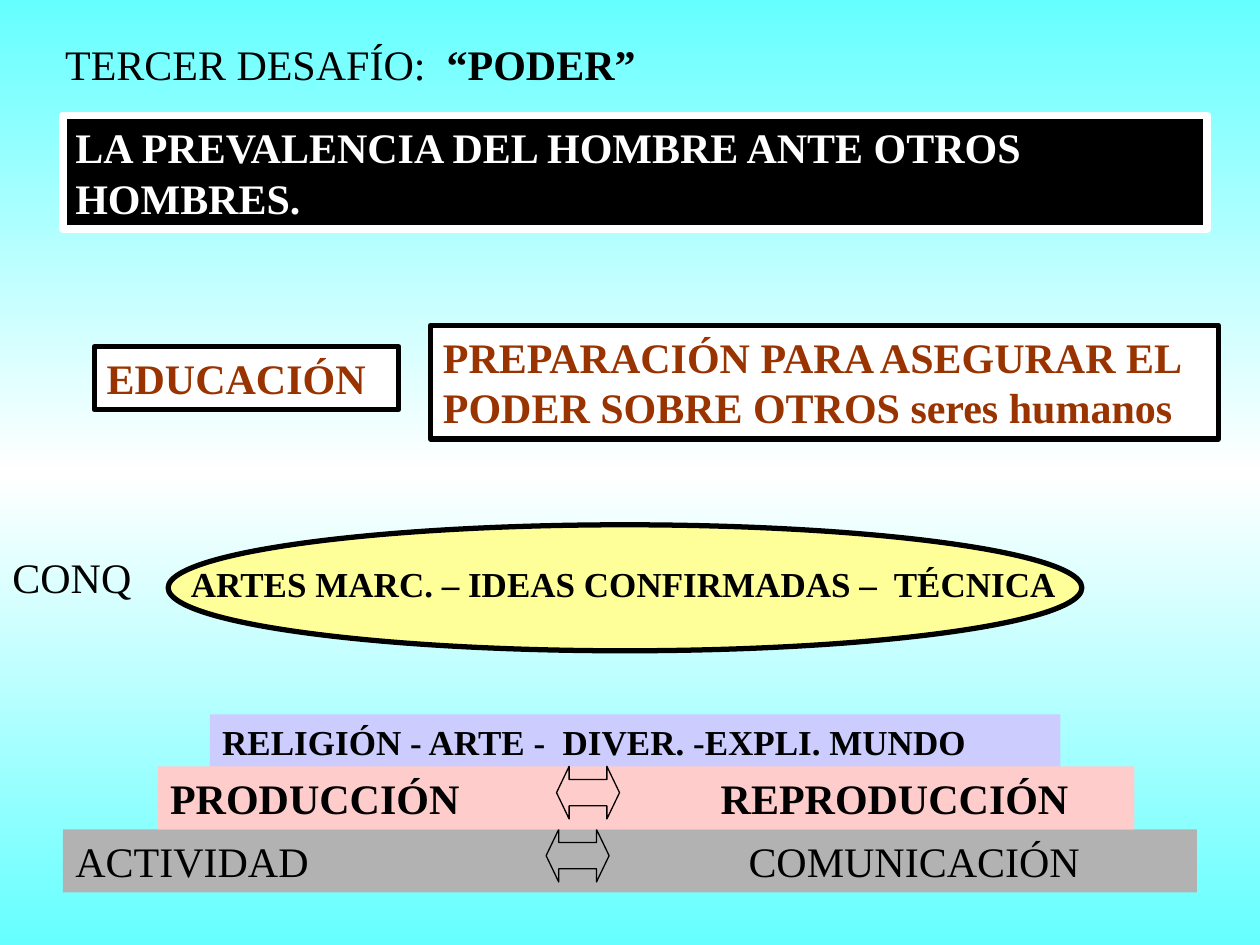
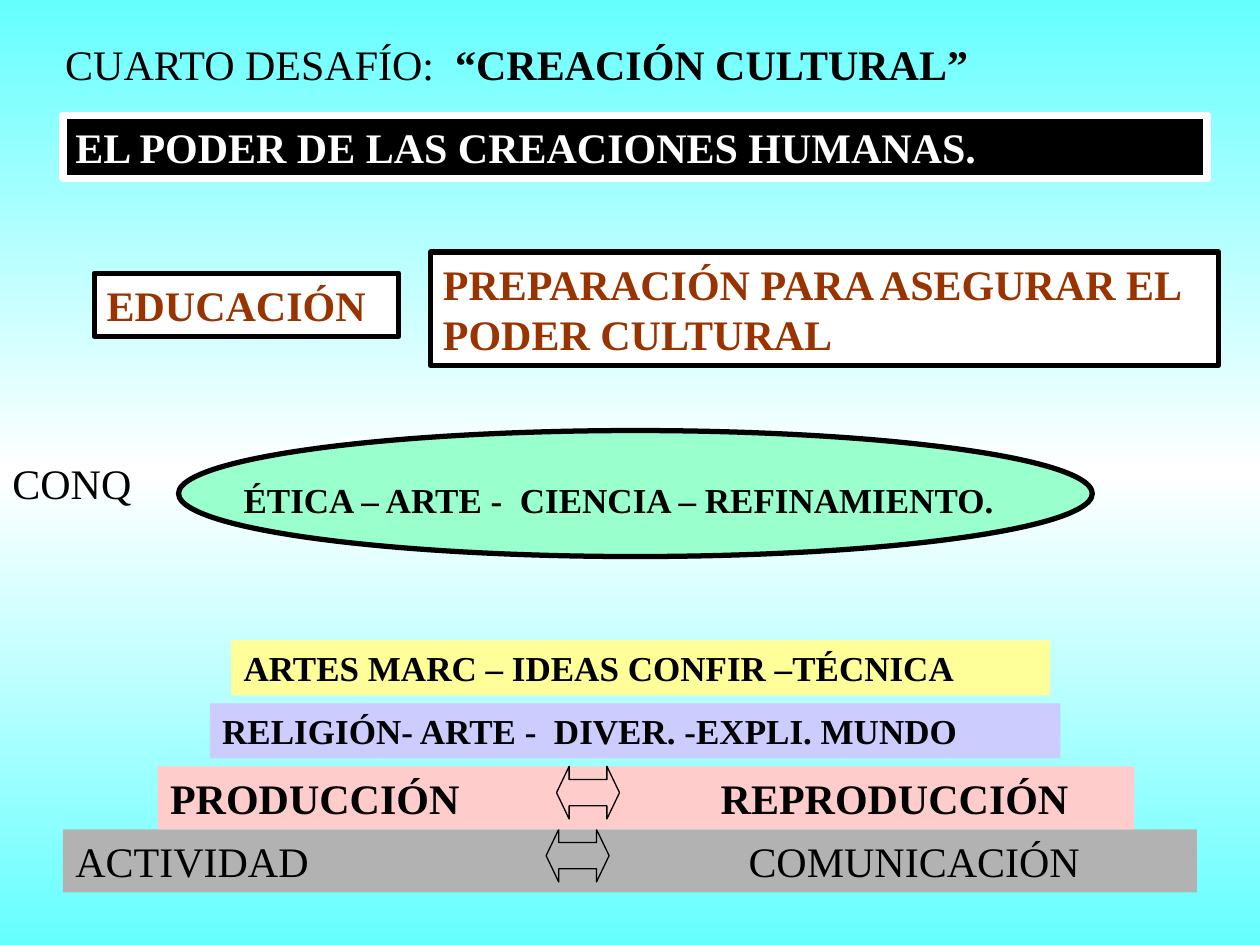
from copy import deepcopy

from lxml import etree
from pptx import Presentation
from pptx.dml.color import RGBColor
from pptx.enum import shapes, text
from pptx.oxml.ns import qn
from pptx.util import Cm, Pt

BLACK = RGBColor(0x00, 0x00, 0x00)
WHITE = RGBColor(0xFF, 0xFF, 0xFF)
AQUA = RGBColor(0x66, 0xFF, 0xFF)
RUST = RGBColor(0x99, 0x33, 0x00)
YELLOW = RGBColor(0xFF, 0xFF, 0x99)
MINT = RGBColor(0x99, 0xFF, 0xCC)
LILAC = RGBColor(0xCC, 0xCC, 0xFF)
PINK = RGBColor(0xFF, 0xCC, 0xCC)
GREY = RGBColor(0xB2, 0xB2, 0xB2)

FONT = "Times New Roman"
BIG, SMALL = 24, 20
ROW, LOW, TALL = 1.27, 1.11, 2.29  # heights of text boxes, in cm

# Places are in cm; a "step" is (words, left, top, width, fill).
SLIDES = [
    {
        "title": ("TERCER DESAFÍO:  ", "“PODER”"),
        "claim": ("LA PREVALENCIA DEL HOMBRE ANTE OTROS HOMBRES.", TALL),
        "goal": ("PREPARACIÓN PARA ASEGURAR EL PODER SOBRE OTROS seres humanos", 6.56),
        "oval": (3.39, 10.58, YELLOW),
        "label": ("ARTES MARC. – IDEAS CONFIRMADAS –  TÉCNICA", 3.6, 18.63),
        "steps": [("RELIGIÓN - ARTE -  DIVER. -EXPLI. MUNDO", 4.23, 14.4, 17.15, LILAC)],
    },
    {
        "title": ("CUARTO DESAFÍO:  ", "“CREACIÓN CULTURAL”"),
        "claim": ("EL PODER DE LAS CREACIONES HUMANAS.", ROW),
        "goal": ("PREPARACIÓN PARA ASEGURAR EL PODER CULTURAL", 5.08),
        "oval": (3.6, 8.68, MINT),
        "label": ("ÉTICA – ARTE -  CIENCIA – REFINAMIENTO.", 4.66, 16.93),
        "steps": [
            ("ARTES MARC – IDEAS CONFIR –TÉCNICA", 4.66, 12.91, 16.51, YELLOW),
            ("RELIGIÓN- ARTE -  DIVER. -EXPLI. MUNDO", 4.23, 14.18, 17.15, LILAC),
        ],
    },
]

# left word, right word, left, top, width, tab, arrow left, fill, bold
PAIRS = [
    ("ACTIVIDAD", "COMUNICACIÓN", 0.5 * 2.54, 16.72, 22.86, 13.57, 11.01, GREY, False),
    ("PRODUCCIÓN", "REPRODUCCIÓN", 3.18, 15.45, 19.69, 11.1, 11.22, PINK, True),
]


def paint(shape, fill, line=None, width=0):
    shape.shadow.inherit = False
    shape.fill.solid()
    shape.fill.fore_color.rgb = fill
    if line is None:
        shape.line.fill.background()
    else:
        shape.line.color.rgb = line
        shape.line.width = Pt(width)


def write(shape, parts, size=BIG, color=BLACK):
    """Fill the shape with (words, bold) parts, left and top aligned."""
    frame = shape.text_frame
    frame.word_wrap = True
    frame.auto_size = text.MSO_AUTO_SIZE.SHAPE_TO_FIT_TEXT
    frame.vertical_anchor = text.MSO_ANCHOR.TOP
    para = frame.paragraphs[0]
    para.alignment = text.PP_ALIGN.LEFT
    for words, bold in parts:
        run = para.add_run()
        run.text = words
        font = run.font
        font.name, font.size, font.bold = FONT, Pt(size), bold
        font.color.rgb = color


def add_shape(slide, kind, place, *look):
    shape = slide.shapes.add_shape(kind, *map(Cm, place))
    paint(shape, *look)
    return shape


def add_box(slide, words, place, look, size=BIG, color=BLACK, bold=True):
    box = add_shape(slide, shapes.MSO_SHAPE.RECTANGLE, place, *look)
    write(box, [(words, bold)], size, color)
    return box


def add_note(slide, words, place, size=BIG, bold=False):
    write(slide.shapes.add_textbox(*map(Cm, place)), [(words, bold)], size)


def add_pair(slide, first, second, left, top, width, tab, mid, fill, bold):
    """Draw a bar with two words, the second at a tab stop, and an arrow."""
    bar = add_box(slide, f"{first}\t{second}", (left, top, width, ROW), (fill,), bold=bold)
    props = bar.text_frame.paragraphs[0]._p.get_or_add_pPr()
    stops = etree.SubElement(props, qn("a:tabLst"))
    etree.SubElement(stops, qn("a:tab"), pos=str(int(Cm(tab))), algn="l")
    arrow = add_shape(slide, shapes.MSO_SHAPE.LEFT_RIGHT_ARROW,
                      (mid, top, ROW, 1.06), fill, BLACK, 0.75)
    arrow.adjustments[1] = 0.24


def set_back(master):
    """Give every slide the aqua, white, aqua gradient."""
    fill = master.background.fill
    fill.gradient()
    fill.gradient_angle = 90
    first, mid = fill.gradient_stops
    first.color.rgb, first.position = AQUA, 0
    mid.color.rgb, mid.position = WHITE, 0.5
    stops = master.element.find(".//" + qn("p:bg")).find(".//" + qn("a:gsLst"))
    last = deepcopy(stops[0])
    last.set("pos", "100000")
    stops.append(last)


def build(slide, data):
    title = slide.shapes.title
    title.left, title.top, title.width, title.height = map(Cm, (1.06, 0.64, 19.47, ROW))
    lead, name = data["title"]
    write(title, [(lead, False), (name, True)])

    claim, high = data["claim"]
    add_box(slide, claim, (1.27, 2.33, 23.07, high), (BLACK, WHITE, 4.5), color=WHITE)

    goal, top = data["goal"]
    frame = (WHITE, BLACK, 3)
    add_box(slide, "EDUCACIÓN", (1.9, top + 0.43, 6.14, ROW), frame, color=RUST)
    add_box(slide, goal, (8.68, top, 15.88, TALL), frame, color=RUST)

    left, top, fill = data["oval"]
    add_shape(slide, shapes.MSO_SHAPE.OVAL, (left, top, 18.42, 2.54), fill, BLACK, 3)
    label, start, width = data["label"]
    add_note(slide, "CONQ", (0, top + 0.42, 2.97, ROW))
    drop = 0.64 if fill == YELLOW else 0.85
    add_note(slide, label, (start, top + drop, width, LOW), SMALL, True)

    for words, left, top, width, fill in data["steps"]:
        add_box(slide, words, (left, top, width, LOW), (fill,), SMALL)
    for pair in PAIRS:
        add_pair(slide, *pair)


def main():
    deck = Presentation()
    deck.slide_width, deck.slide_height = Cm(25.4), Cm(19.05)
    set_back(deck.slide_master)
    for data in SLIDES:
        build(deck.slides.add_slide(deck.slide_layouts[5]), data)
    deck.save("out.pptx")


if __name__ == "__main__":
    main()
